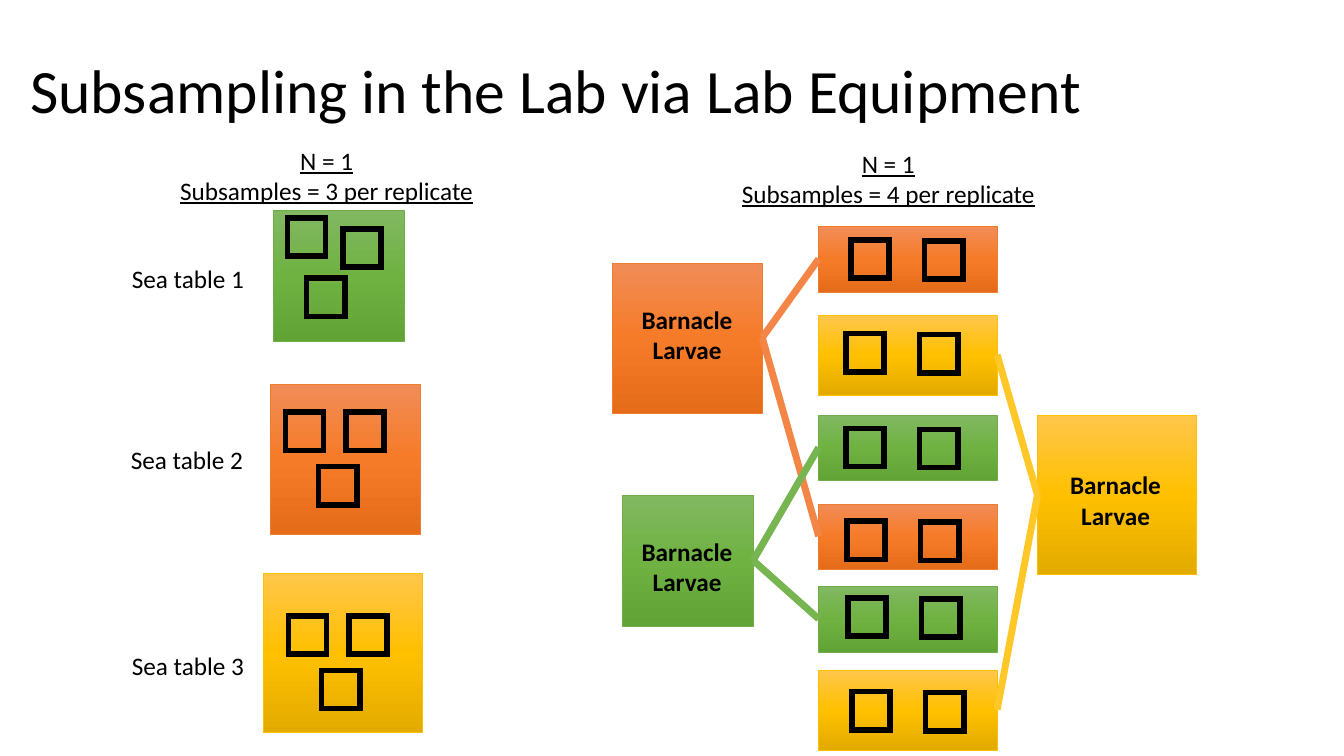
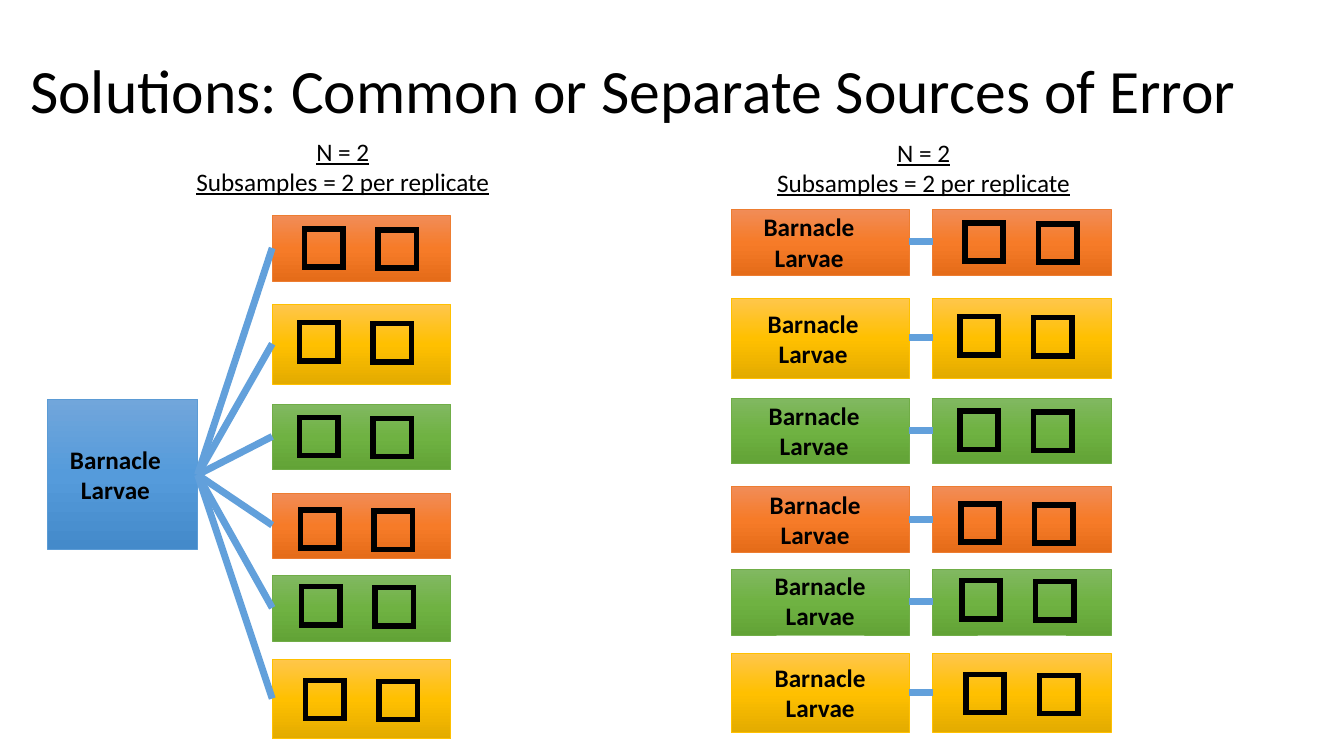
import copy
import dataclasses

import lxml.etree
import pptx
import pptx.dml.color
import pptx.enum.shapes
import pptx.enum.text
import pptx.oxml.ns
import pptx.util

PX = 9144
FONT = "Calibri"
RGB = pptx.dml.color.RGBColor
BLACK = RGB(0x00, 0x00, 0x00)
SAMPLE = 38
PAIR_STEP = (73, 1)
SQUARE = pptx.enum.shapes.MSO_SHAPE.RECTANGLE
ALIGN = pptx.enum.text.PP_ALIGN
TITLE_FORMAT = {"name": FONT, "size": pptx.util.Pt(44)}
LABEL_FORMAT = {"name": FONT, "size": pptx.util.Pt(18)}
HEADING_FORMAT = {**LABEL_FORMAT, "underline": True}
LARVAE_FORMAT = {**LABEL_FORMAT, "bold": True}


@dataclasses.dataclass(frozen=True)
class Tint:
    """Gradient, border and link colours of one treatment."""

    gradient: tuple
    border: RGB
    link: RGB


GREEN = Tint((RGB(0x81, 0xB8, 0x61), RGB(0x6F, 0xB2, 0x42), RGB(0x62, 0xA3, 0x36)),
             RGB(0x70, 0xAD, 0x47), RGB(0x77, 0xB5, 0x50))
YELLOW = Tint((RGB(0xFF, 0xC6, 0x4B), RGB(0xFF, 0xC0, 0x00), RGB(0xE3, 0xAB, 0x00)),
              RGB(0xFF, 0xC0, 0x00), RGB(0xFF, 0xC7, 0x28))
ORANGE = Tint((RGB(0xF1, 0x8C, 0x57), RGB(0xF6, 0x7B, 0x28), RGB(0xE5, 0x6C, 0x19)),
              RGB(0xED, 0x7D, 0x31), RGB(0xF3, 0x86, 0x46))
BLUE = Tint((RGB(0x71, 0xA6, 0xDB), RGB(0x55, 0x9B, 0xDB), RGB(0x44, 0x8A, 0xCA)),
            RGB(0x5B, 0x9B, 0xD5), RGB(0x62, 0xA0, 0xDB))

# tint, top within the stack, height, first sample within the tray
TRAYS = (
    (ORANGE, 0, 65, (32, 13)),
    (YELLOW, 88, 79, (27, 18)),
    (GREEN, 187, 65, (27, 13)),
    (ORANGE, 275, 65, (28, 17)),
    (GREEN, 357, 65, (29, 11)),
    (YELLOW, 440, 79, (33, 21)),
)
TRAY_WIDTH = 177


def emu(*lengths):
    """Turn px lengths into EMU."""
    return [length * PX for length in lengths]


def set_font(font, values):
    """Apply a dict of format values to a black font."""
    for name, value in values.items():
        setattr(font, name, value)
    font.color.rgb = BLACK


def add_title_slide(deck, title):
    """Add a title-only slide with its formatted title."""
    page = deck.slides.add_slide(deck.slide_layouts[5])
    holder = page.shapes.title
    holder.left, holder.top, holder.width, holder.height = emu(20, 20, 1225, 145)
    frame = holder.text_frame
    frame.text = title
    frame.vertical_anchor = pptx.enum.text.MSO_ANCHOR.MIDDLE
    para = frame.paragraphs[0]
    para.alignment = ALIGN.LEFT
    para.line_spacing = 0.9
    set_font(para.runs[0].font, TITLE_FORMAT)
    return page


def add_text(page, lines, left, top, width, height, values, align=ALIGN.CENTER):
    """Add an unwrapped text box with one paragraph per line."""
    frame = page.shapes.add_textbox(*emu(left, top, width, height)).text_frame
    frame.word_wrap = False
    frame.auto_size = pptx.enum.text.MSO_AUTO_SIZE.SHAPE_TO_FIT_TEXT
    for index, line in enumerate(lines):
        para = frame.add_paragraph() if index else frame.paragraphs[0]
        para.alignment = align
        span = para.add_run()
        span.text = line
        set_font(span.font, values)


def add_heading(page, count, subsamples, left, top):
    """Add the underlined sample-size heading."""
    lines = (f"N = {count}", f"Subsamples = {subsamples} per replicate")
    add_text(page, lines, left, top, 314, 71, HEADING_FORMAT)


def add_larvae_label(page, left, top):
    """Add the bold larvae label."""
    add_text(page, ("Barnacle", "Larvae"), left, top, 111, 71, LARVAE_FORMAT)


def add_box(page, tint, left, top, width, height):
    """Add a rectangle with a three-stop vertical gradient."""
    box = page.shapes.add_shape(SQUARE, *emu(left, top, width, height))
    box.shadow.inherit = False
    box.line.color.rgb = tint.border
    box.line.width = pptx.util.Pt(0.5)
    box.fill.gradient()
    box.fill.gradient_angle = 270
    stop_list = box._element.spPr.find(".//" + pptx.oxml.ns.qn("a:gsLst"))
    stop_list.insert(1, copy.deepcopy(stop_list[0]))
    for index, stop in enumerate(box.fill.gradient_stops):
        stop.position = index / 2
        stop.color.rgb = tint.gradient[index]


def add_sample(shapes, left, top):
    """Add one hollow black subsample square."""
    sample = shapes.add_shape(SQUARE, *emu(left, top, SAMPLE, SAMPLE))
    sample.shadow.inherit = False
    sample.fill.background()
    sample.line.color.rgb = BLACK
    sample.line.width = pptx.util.Pt(4)
    outline = sample._element.spPr.find(pptx.oxml.ns.qn("a:ln"))
    lxml.etree.SubElement(outline, pptx.oxml.ns.qn("a:miter"), lim="800000")


def add_link(page, tint, start, end):
    """Add a thick straight connector between two points."""
    link = page.shapes.add_connector(
        pptx.enum.shapes.MSO_CONNECTOR.STRAIGHT, *emu(*start, *end))
    link.line.color.rgb = tint.link
    link.line.width = pptx.util.Pt(5)
    lxml.etree.SubElement(link._element.spPr, pptx.oxml.ns.qn("a:effectLst"))


def add_stack(page, left, top):
    """Add six trays with sample pairs and return their left middle points."""
    points = []
    for tint, offset, height, (across, down) in TRAYS:
        tray_top = top + offset
        add_box(page, tint, left, tray_top, TRAY_WIDTH, height)
        pair = page.shapes.add_group_shape()
        for index in range(2):
            add_sample(pair.shapes, left + across + index * PAIR_STEP[0],
                       tray_top + down + index * PAIR_STEP[1])
        points.append((left, tray_top + height // 2))
    return points


def add_sea_table(page, number, tint, corner, size, samples, label):
    """Add a sea table with its samples and label."""
    left, top = corner
    add_box(page, tint, left, top, size, size)
    for across, down in samples:
        add_sample(page.shapes, left + across, top + down)
    add_text(page, (f"Sea table {number}",), *label, 133, 40, LABEL_FORMAT, ALIGN.LEFT)


def build_equipment_slide(deck):
    """Build the slide on subsampling via lab equipment."""
    page = add_title_slide(deck, "Subsampling in the Lab via Lab Equipment")
    sea_tables = (
        (GREEN, (271, 209), 130, ((14, 7), (33, 67), (69, 18)), (121, 256)),
        (ORANGE, (268, 381), 149, ((15, 28), (75, 28), (48, 82)), (120, 436)),
        (YELLOW, (261, 569), 158, ((25, 42), (85, 42), (58, 96)), (121, 640)),
    )
    for number, sea_table in enumerate(sea_tables, 1):
        add_sea_table(page, number, *sea_table)
    add_heading(page, 1, 3, 167, 139)
    add_heading(page, 1, 4, 724, 142)

    trays = add_stack(page, 812, 225)
    sources = (
        (ORANGE, (607, 261), 149, (626, 297), (0, 3), True),
        (GREEN, (617, 491), 130, (626, 527), (2, 4), True),
        (YELLOW, (1029, 412), 158, (1051, 461), (1, 5), False),
    )
    for tint, (left, top), size, label, fed, feeds_right in sources:
        add_box(page, tint, left, top, size, size)
        add_larvae_label(page, *label)
        start = (left + size * feeds_right, top + size // 2)
        for index in fed:
            tray_left, middle = trays[index]
            end = (tray_left + TRAY_WIDTH * (not feeds_right), middle)
            add_link(page, tint, start, end)


def build_solutions_slide(deck):
    """Build the slide on common or separate sources of error."""
    page = add_title_slide(deck, "Solutions: Common or Separate Sources of Error")
    add_heading(page, 2, 2, 183, 130)
    add_heading(page, 2, 2, 759, 131)

    add_box(page, BLUE, 47, 396, 149, 149)
    add_larvae_label(page, 59, 436)
    for point in add_stack(page, 270, 214):
        add_link(page, BLUE, (196, 471), point)

    source_left, stack_top = 725, 208
    labels = ((22, -3), (26, 5), (27, -3), (28, -3), (33, -4), (33, 4))
    trays = add_stack(page, 925, stack_top)
    for (tint, offset, height, _), (across, down), point in zip(TRAYS, labels, trays):
        top = stack_top + offset
        add_box(page, tint, source_left, top, TRAY_WIDTH, height)
        add_larvae_label(page, source_left + across, top + down)
        add_link(page, BLUE, point, (source_left + TRAY_WIDTH, point[1]))


def main():
    """Build and save the deck."""
    deck = pptx.Presentation()
    deck.slide_width, deck.slide_height = emu(1333, 750)
    build_equipment_slide(deck)
    build_solutions_slide(deck)
    deck.save("out.pptx")


if __name__ == "__main__":
    main()
